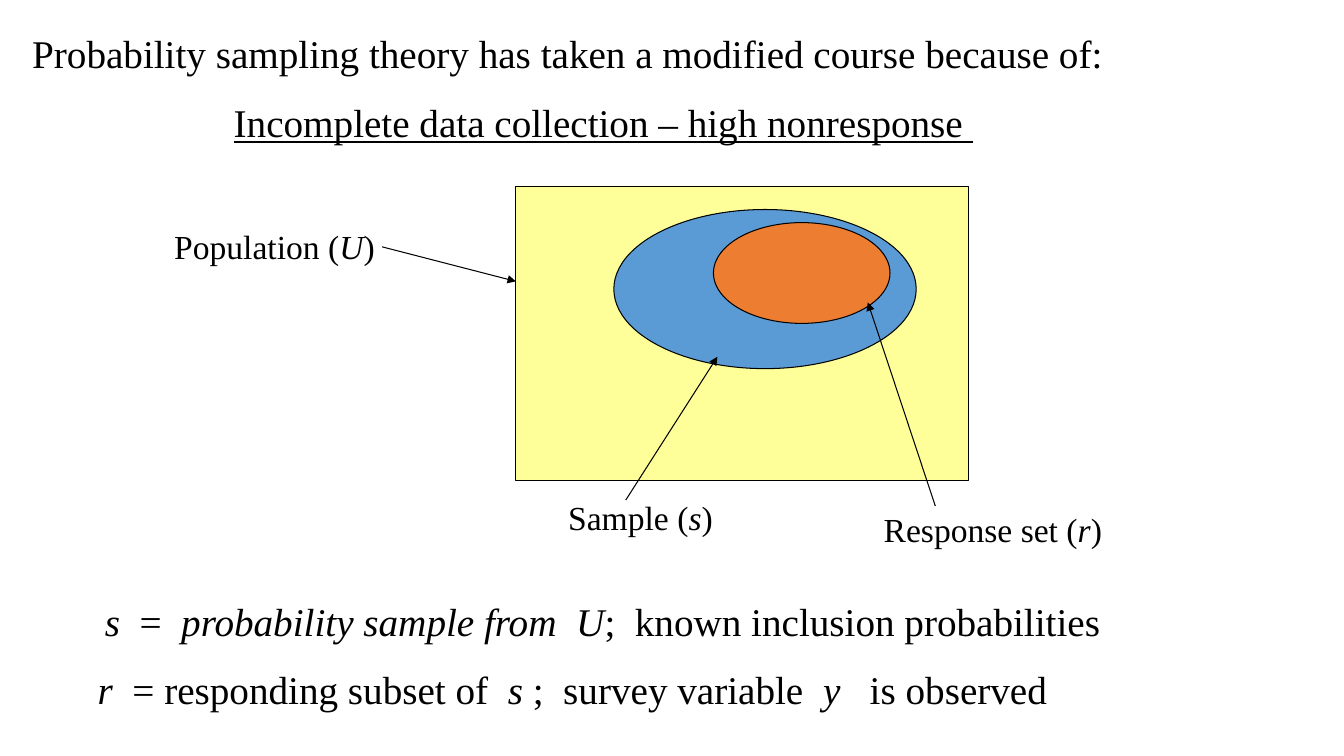
from lxml import etree
from pptx import Presentation
from pptx.dml.color import RGBColor
from pptx.enum.shapes import MSO_CONNECTOR, MSO_SHAPE
from pptx.enum.text import MSO_ANCHOR, MSO_AUTO_SIZE, PP_ALIGN
from pptx.oxml.ns import qn
from pptx.util import Cm, Pt

BLACK = RGBColor(0x00, 0x00, 0x00)
YELLOW = RGBColor(0xFF, 0xFF, 0x99)
BLUE = RGBColor(0x5B, 0x9B, 0xD5)
ORANGE = RGBColor(0xED, 0x7D, 0x31)

PLAIN = {"name": "Times New Roman", "bold": False, "italic": False}
ITALIC = {**PLAIN, "italic": True}
UNDERLINED = {**PLAIN, "underline": True}
FRAME = {
    "word_wrap": True,
    "auto_size": MSO_AUTO_SIZE.NONE,
    "vertical_anchor": MSO_ANCHOR.TOP,
    "margin_left": Cm(0.25),
    "margin_right": Cm(0.25),
    "margin_top": Cm(0.13),
    "margin_bottom": Cm(0.13),
}


def set_attributes(target, values):
    for name, value in values.items():
        setattr(target, name, value)


def place(sp, box):
    lengths = [Cm(n) for n in box]
    set_attributes(sp, dict(zip(("left", "top", "width", "height"), lengths)))


def add_runs(p, parts, size):
    for text, style in parts:
        r = p.add_run()
        r.text = text
        set_attributes(r.font, {**style, "size": Pt(size)})
        r.font.color.rgb = BLACK


def fill_placeholder(sp, box, lines):
    place(sp, box)
    tf = sp.text_frame
    set_attributes(tf, FRAME)
    for i, (indent, parts) in enumerate(lines):
        p = tf.paragraphs[0] if i == 0 else tf.add_paragraph()
        set_attributes(p, {"alignment": PP_ALIGN.LEFT, "space_before": Pt(15.5)})
        pPr = p._p.get_or_add_pPr()
        pPr.set("marL", str(Cm(indent)))
        pPr.set("indent", "0")
        etree.SubElement(pPr, qn("a:buNone"))
        add_runs(p, parts, 28)


def add_set(slide, kind, box, color):
    sp = slide.shapes.add_shape(kind, *[Cm(n) for n in box])
    sp.shadow.inherit = False
    sp.fill.solid()
    sp.fill.fore_color.rgb = color
    sp.line.color.rgb = BLACK
    sp.line.width = Pt(0.75)


def add_label(slide, box, name, symbol):
    sp = slide.shapes.add_textbox(*[Cm(n) for n in box])
    tf = sp.text_frame
    set_attributes(tf, FRAME)
    parts = [(f"{name} (", PLAIN), (symbol, ITALIC), (")", PLAIN)]
    add_runs(tf.paragraphs[0], parts, 24)


def add_arrow(slide, points):
    line = slide.shapes.add_connector(
        MSO_CONNECTOR.STRAIGHT, *[Cm(n) for n in points])
    line.line.color.rgb = BLACK
    line.line.width = Pt(0.75)
    etree.SubElement(line.line._get_or_add_ln(), qn("a:tailEnd"), type="triangle")
    etree.SubElement(line._element.spPr, qn("a:effectLst"))


def main():
    prs = Presentation()
    prs.slide_width, prs.slide_height = Cm(33.87), Cm(19.05)
    slide = prs.slides.add_slide(prs.slide_layouts[1])
    title, body = slide.placeholders

    fill_placeholder(title, (0.56, 0.61, 32.61, 3.25), [
        (0, [("Probability sampling theory has taken a modified course because of:",
              PLAIN)]),
        (5.08, [("Incomplete data collection – high nonresponse ", UNDERLINED)]),
    ])
    fill_placeholder(body, (1.96, 14.91, 30.86, 3.25), [
        (0.43, [("s", ITALIC), ("  =  ", PLAIN),
                ("probability sample from  U", ITALIC),
                (";  known inclusion probabilities", PLAIN)]),
        (0.25, [("r ", ITALIC), (" = responding subset of  ", PLAIN),
                ("s", ITALIC), (" ;  survey variable  ", PLAIN),
                ("y", ITALIC), ("   is observed", PLAIN)]),
    ])

    for kind, box, color in [
        (MSO_SHAPE.RECTANGLE, (12.98, 4.7, 11.43, 7.42), YELLOW),
        (MSO_SHAPE.OVAL, (15.47, 5.28, 7.62, 4.01), BLUE),
        (MSO_SHAPE.OVAL, (17.98, 5.61, 4.45, 2.54), ORANGE),
    ]:
        add_set(slide, kind, box, color)

    for box, name, symbol, arrow in [
        ((4.14, 5.56, 6.15, 1.27), "Population", "U", (9.63, 6.22, 13, 7.09)),
        ((22.02, 12.7, 6.78, 1.27), "Response set", "r", (23.57, 12.75, 21.87, 7.62)),
        ((14.07, 12.4, 5.72, 1.27), "Sample", "s", (15.77, 12.6, 18.08, 8.99)),
    ]:
        add_label(slide, box, name, symbol)
        add_arrow(slide, arrow)

    prs.save("out.pptx")


if __name__ == "__main__":
    main()
